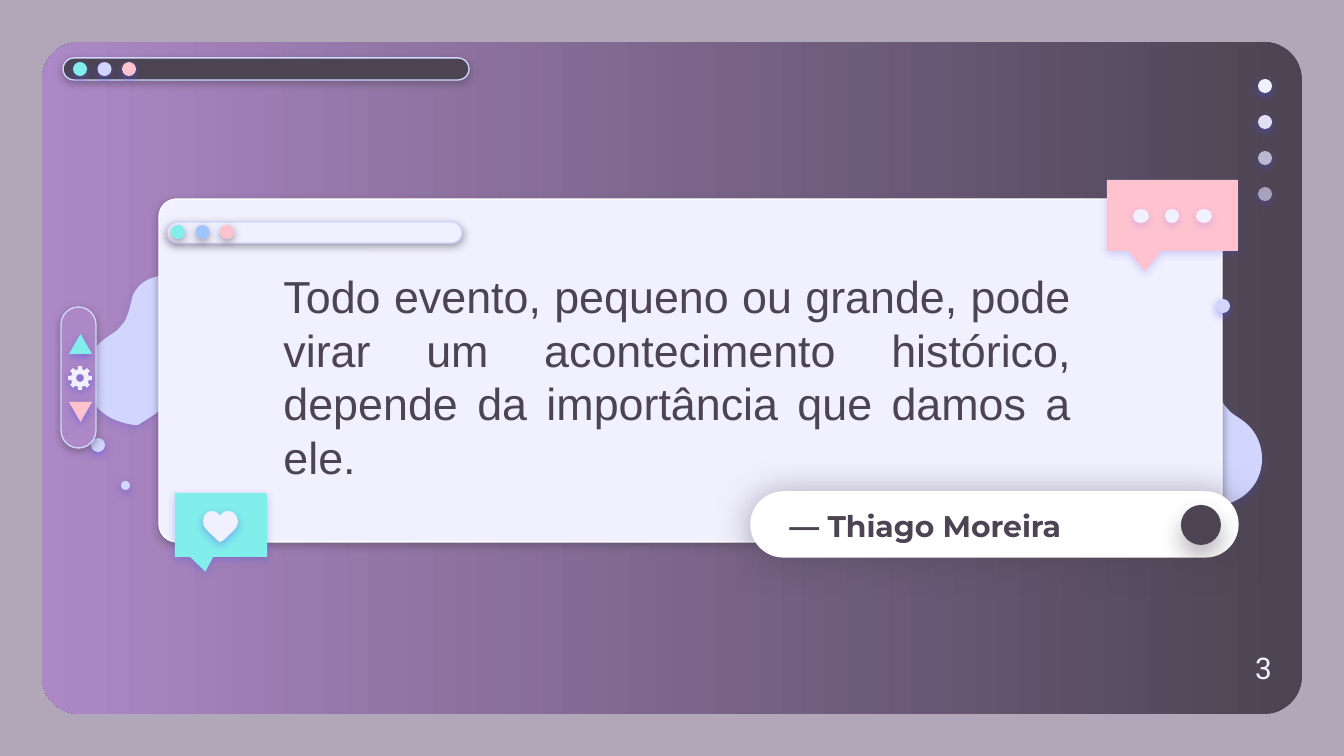
"""Build a quote slide framed by windows, bubbles and soft shadows."""
import math

import lxml.etree
import pptx
import pptx.dml.color
import pptx.enum.shapes
import pptx.enum.text
import pptx.oxml
import pptx.oxml.ns
import pptx.util

RGB = pptx.dml.color.RGBColor
KIND = pptx.enum.shapes.MSO_SHAPE
ALIGN = pptx.enum.text.PP_ALIGN
ANCHOR = pptx.enum.text.MSO_ANCHOR
qn = pptx.oxml.ns.qn

PX = 914400 / 134.4
FINE = 100

MAUVE = RGB(0xB2, 0xA7, 0xB8)
DARK = RGB(0x4C, 0x44, 0x52)
PURPLE = RGB(0xAD, 0x88, 0xC6)
LILAC = RGB(0xD2, 0xD6, 0xFF)
PALE = RGB(0xF1, 0xF0, 0xFF)
MINT = RGB(0x81, 0xEE, 0xEB)
PINK = RGB(0xFF, 0xC3, 0xD0)
SKY = RGB(0xA1, 0xC3, 0xFF)
WHITE = RGB(0xFF, 0xFF, 0xFF)
INDIGO = RGB(0x53, 0x52, 0xEE)

QUOTE = ("Todo evento, pequeno ou grande, pode virar um acontecimento "
         "histórico, depende da importância que damos a ele.")
AUTHOR = "— Thiago Moreira"
PAGE_NUMBER = "3"

TOP_BAR = ((63, 58, 406, 22), (73, 62), DARK, INDIGO, (MINT, LILAC, PINK))
CARD_BAR = ((167, 222, 295, 21), (171, 225), PALE, DARK, (MINT, SKY, PINK))
FADING_DOTS = (100, 90, 67, 54)
LOOSE_DOTS = ((91, 438, 14), (121, 481, 9), (1216, 299, 14))
TYPING_DOTS = ((1133, 16), (1165, 14), (1196, 16))
MINT_BUBBLE = ((175, 493, 92, 64), MINT, 31, (-0.17, 0.73, 0))
PINK_BUBBLE = ((1107, 180, 131, 71), PINK, 24, (-0.21, 0.79, 0))
ARROWS = ((334, 0, MINT), (402, 180, PINK))

BLOB = (
    (19, 0), (16, 0), (13, 1), (12, 3), (0, 15), (22, 28), (27, 38),
    (31, 46), (27, 58), (26, 66), (26, 75), (27, 85), (36, 90),
    (42, 94), (47, 97), (51, 103), (56, 110), (58, 120), (58, 129),
    (56, 136), (54, 145), (54, 155), (54, 160), (54, 168), (60, 173),
    (60, 174), (60, 175), (60, 176), (66, 181), (73, 185), (78, 188),
    (79, 190), (82, 190), (83, 190), (89, 190), (94, 188), (98, 187),
    (112, 183), (124, 173), (129, 161), (138, 141), (132, 116), (113, 103),
    (108, 99), (102, 97), (98, 91), (91, 85), (89, 70), (86, 60),
    (73, 34), (48, 46), (40, 30), (36, 23), (35, 17), (32, 9),
    (31, 7), (27, 0), (22, 0), (21, 0), (20, 0), (19, 0),
)
HEART = (
    (9, 0), (4, 0), (0, 4), (0, 11), (0, 17), (5, 20), (12, 27),
    (14, 29), (16, 31), (17, 31), (19, 31), (21, 29), (23, 27),
    (30, 20), (35, 17), (35, 11), (35, 4), (30, 0), (25, 0),
    (21, 0), (18, 3), (17, 5), (16, 3), (13, 0), (9, 0),
)


def px(*lengths):
    return [pptx.util.Emu(round(length * PX)) for length in lengths]


def cast_shadow(shape, color, opacity, blur=4.5, distance=1.5):
    effects = shape._element.spPr.find(qn("a:effectLst"))
    effects.append(pptx.oxml.parse_xml(
        f'<a:outerShdw {pptx.oxml.ns.nsdecls("a")} blurRad="{round(blur * 12700)}" '
        f'dist="{round(distance * 12700)}" dir="5400000" algn="bl" rotWithShape="0">'
        f'<a:srgbClr val="{color}"><a:alpha val="{opacity * 1000}"/></a:srgbClr>'
        '</a:outerShdw>'))


def paint(shape, fill, line=None, shadow=None):
    shape.fill.solid()
    shape.fill.fore_color.rgb = fill
    if line is None:
        shape.line.fill.background()
    else:
        shape.line.color.rgb = line
        shape.line.width = pptx.util.Pt(0.75)
    shape.shadow.inherit = False
    if shadow:
        cast_shadow(shape, *shadow)
    return shape


def add_shape(kind, place, fill, line=None, shadow=None, adjust=()):
    shape = page.shapes.add_shape(kind, *px(*place))
    for index, value in enumerate(adjust):
        shape.adjustments[index] = value
    return paint(shape, fill, line, shadow)


def add_dot(left, top, size, fill, shadow=(INDIGO, 50)):
    return add_shape(KIND.OVAL, (left, top, size, size), fill, shadow=shadow)


def add_outline(contours, fill, shadow):
    scaled = [[(x * FINE, y * FINE) for x, y in points] for points in contours]
    builder = page.shapes.build_freeform(*scaled[0][0], scale=PX / FINE)
    builder.add_line_segments(scaled[0][1:])
    for points in scaled[1:]:
        builder.move_to(*points[0])
        builder.add_line_segments(points[1:])
    return paint(builder.convert_to_shape(), fill, shadow=shadow)


def add_curve(points, fill, shadow):
    shape = add_outline([points], fill, shadow)
    lines = list(shape._element.spPr.iter(qn("a:lnTo")))
    for start in range(0, len(lines), 3):
        curve = lxml.etree.Element(qn("a:cubicBezTo"))
        lines[start].addprevious(curve)
        for line in lines[start:start + 3]:
            curve.append(line[0])
            line.getparent().remove(line)


def polar(center_x, center_y, radius, degrees):
    angle = math.radians(degrees)
    return center_x + radius * math.cos(angle), center_y + radius * math.sin(angle)


def add_window_bar(place, first_dot, fill, dot_shadow, colors):
    add_shape(KIND.ROUNDED_RECTANGLE, place, fill, LILAC, (DARK, 50), (0.5,))
    left, top = first_dot
    for index, color in enumerate(colors):
        add_dot(left + index * 49 / 2, top, 14, color, (dot_shadow, 50))


def write(box, place, text, font, size, color, align=ALIGN.LEFT, anchor=ANCHOR.MIDDLE):
    box.left, box.top, box.width, box.height = px(*place)
    frame = box.text_frame
    frame.word_wrap = True
    frame.auto_size = pptx.enum.text.MSO_AUTO_SIZE.NONE
    frame.vertical_anchor = anchor
    frame.margin_left = frame.margin_right = pptx.util.Inches(0.1)
    frame.margin_top = frame.margin_bottom = pptx.util.Inches(0.1)
    para = frame.paragraphs[0]
    para.text = text
    para.alignment = align
    para.space_before = pptx.util.Pt(0)
    para.line_spacing = 1.0
    para.font.name = font
    para.font.size = pptx.util.Pt(size)
    para.font.color.rgb = color
    page.shapes._spTree.append(box._element)
    return para


deck = pptx.Presentation()
deck.slide_width, deck.slide_height = px(1344, 756)
page = deck.slides.add_slide(deck.slide_layouts[0])
page.background.fill.solid()
page.background.fill.fore_color.rgb = MAUVE
author, quote = page.placeholders

panel = add_shape(KIND.ROUNDED_RECTANGLE, (42, 42, 1260, 672), DARK, adjust=(0.056,))
panel.fill.gradient()
panel.fill.gradient_angle = 180
for stop, color in zip(panel.fill.gradient_stops, (DARK, PURPLE)):
    stop.color.rgb = color

add_window_bar(*TOP_BAR)
for index, opacity in enumerate(FADING_DOTS):
    dot = add_dot(1258, 79 + 36 * index, 14, PALE)
    tint = dot._element.spPr.find(qn("a:solidFill"))[0]
    tint.append(pptx.oxml.parse_xml(
        f'<a:alpha {pptx.oxml.ns.nsdecls("a")} val="{opacity * 1000}"/>'))

add_curve([(1129 + x, 317 + y) for x, y in BLOB], LILAC, (INDIGO, 22))
add_curve([(219 - x, 235 + y) for x, y in BLOB], LILAC, (INDIGO, 22))
add_dot(1114, 293, 9, SKY, (INDIGO, 18))

add_shape(KIND.ROUNDED_RECTANGLE, (159, 199, 1063, 343), PALE, WHITE, (DARK, 50), (0.052,))
paint(quote, PALE)
write(quote, (270, 267, 814, 218), QUOTE, "Arial", 24, DARK, ALIGN.JUSTIFY)
add_shape(KIND.ROUNDED_RECTANGLE, (751, 492, 487, 65), WHITE, WHITE, (DARK, 50, 19.1), (0.5,))
paint(author, WHITE)
write(author, (776, 507, 439, 38), AUTHOR, "Montserrat", 16, DARK).font.bold = True

for place, fill, opacity, adjust in (MINT_BUBBLE, PINK_BUBBLE):
    add_shape(KIND.ROUNDED_RECTANGULAR_CALLOUT, place, fill, None, (INDIGO, opacity), adjust)
add_curve([(203 + x, 511 + y) for x, y in HEART], PALE, (INDIGO, 38))
for left, width in TYPING_DOTS:
    add_shape(KIND.OVAL, (left, 209, width, 14), PALE, None, (INDIGO, 18))

add_dot(1181, 505, 40, DARK, (DARK, 38, 12.4, 6.8))
for left, top, size in LOOSE_DOTS:
    add_dot(left, top, size, LILAC)
add_window_bar(*CARD_BAR)

add_shape(KIND.ROUNDED_RECTANGLE, (61, 307, 35, 141), PURPLE, LILAC, (DARK, 50), (0.5,))
for top, rotation, color in ARROWS:
    arrow = add_shape(KIND.ISOSCELES_TRIANGLE, (69, top, 23, 20), color, None, (INDIGO, 50))
    arrow.rotation = rotation
teeth = [polar(80, 378, radius, 45 * tooth + turn) for tooth in range(8)
         for radius, turn in ((9, -14), (12, -10), (12, 10), (9, 14))]
hole = [polar(80, 378, 4, -45 * step) for step in range(8)]
add_outline([teeth, hole], PALE, (INDIGO, 52))

number = page.shapes.add_textbox(*px(1242, 636, 43, 46))
write(number, (1242, 636, 43, 46), PAGE_NUMBER, "Roboto", 16, PALE, anchor=ANCHOR.TOP)
deck.save("out.pptx")
